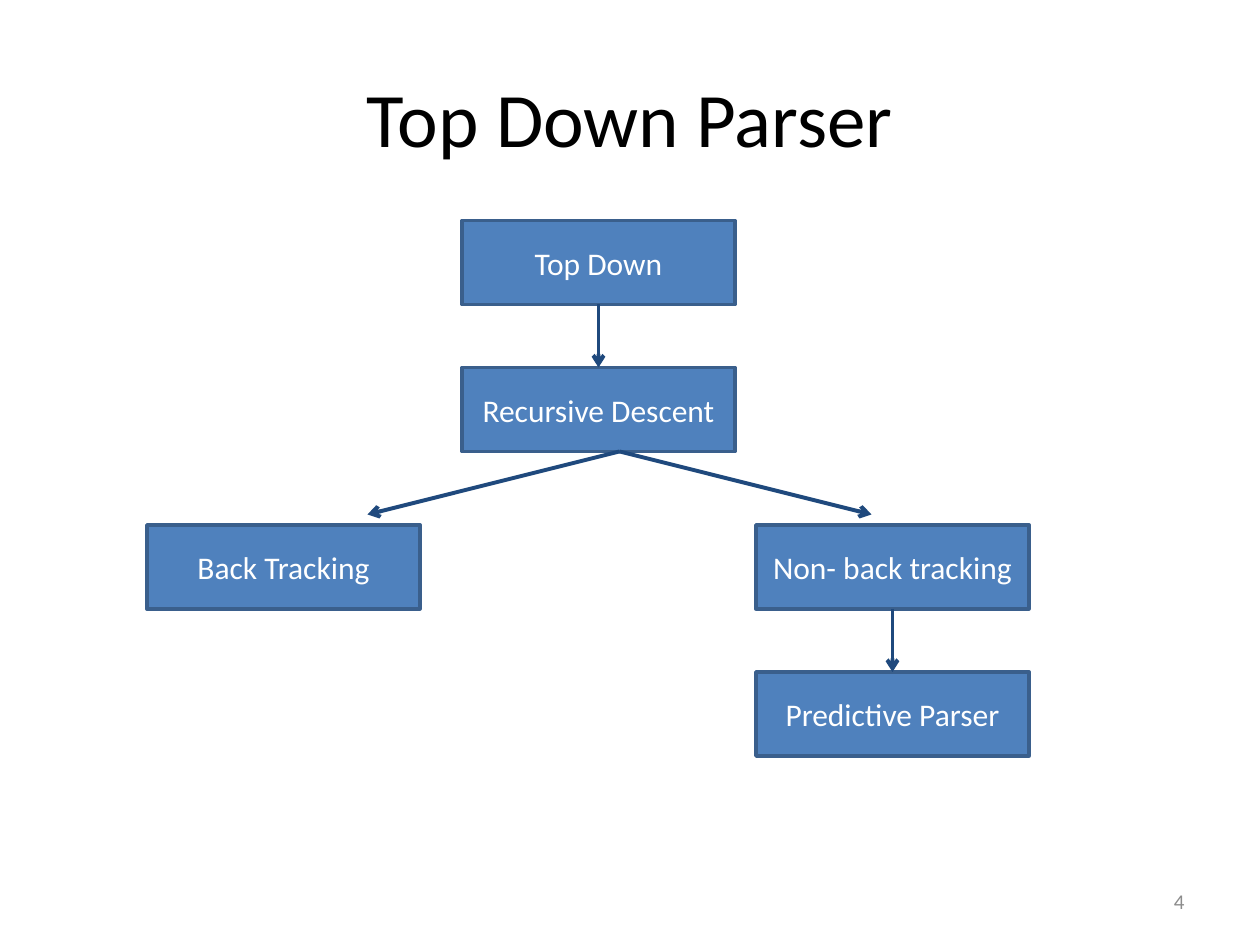
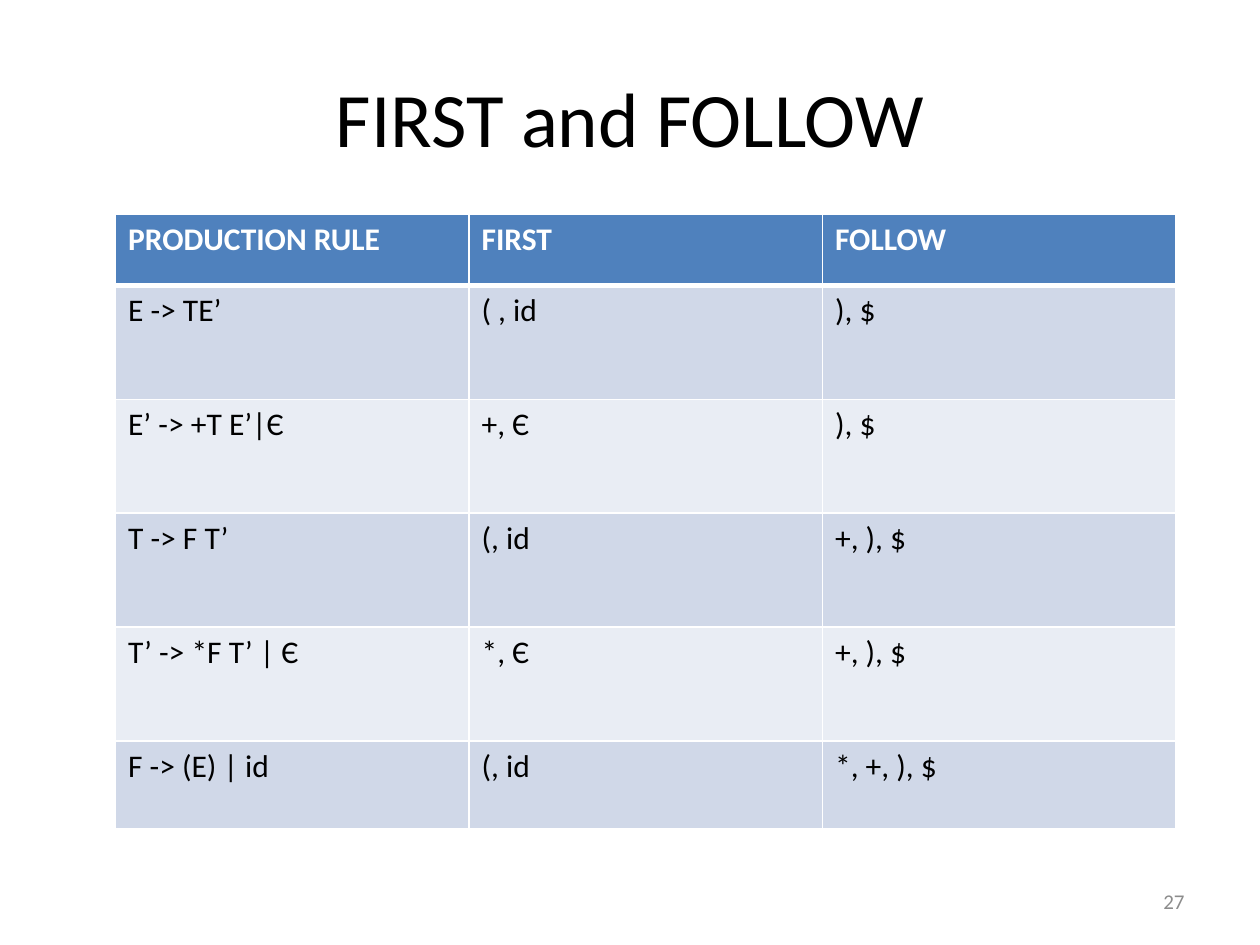
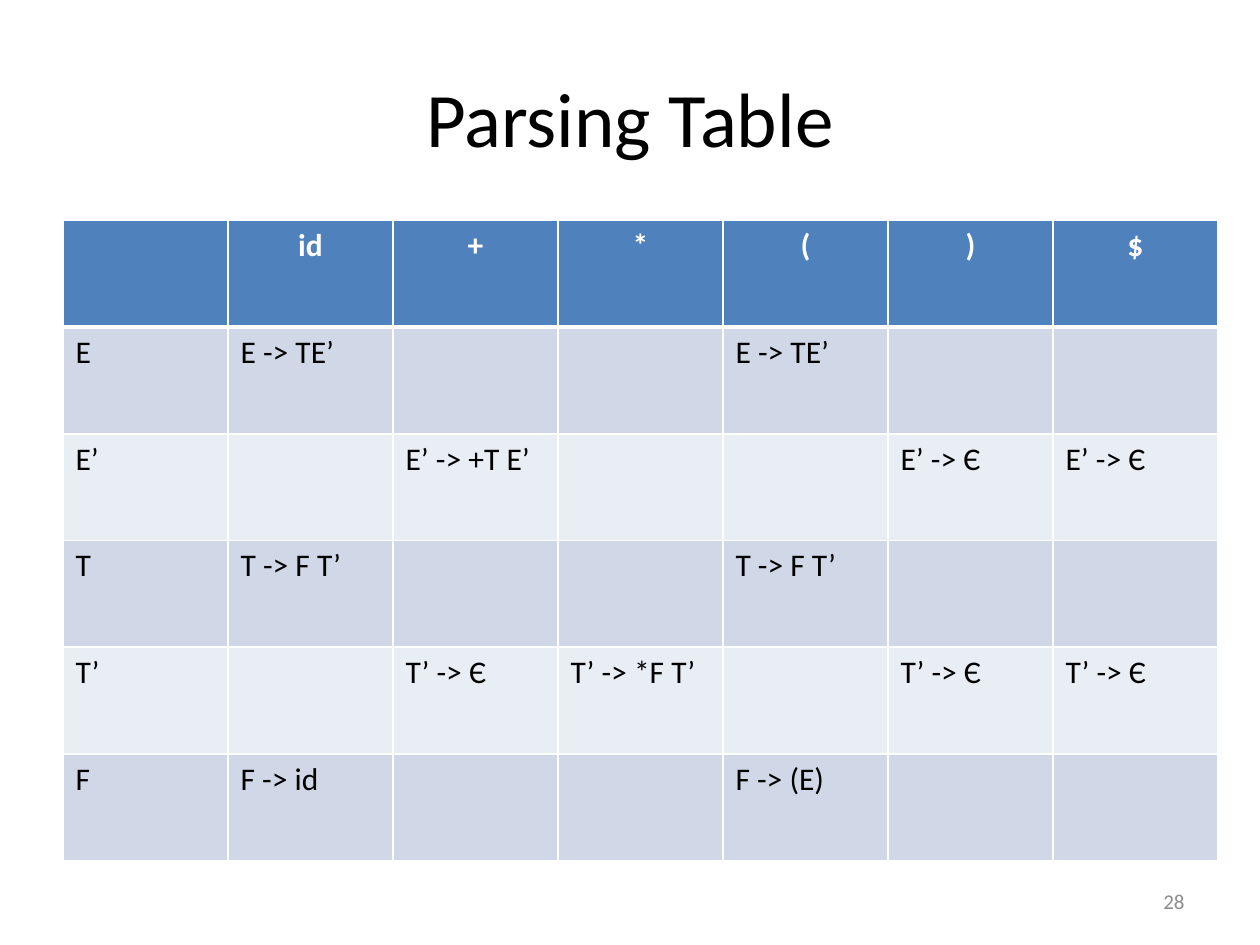
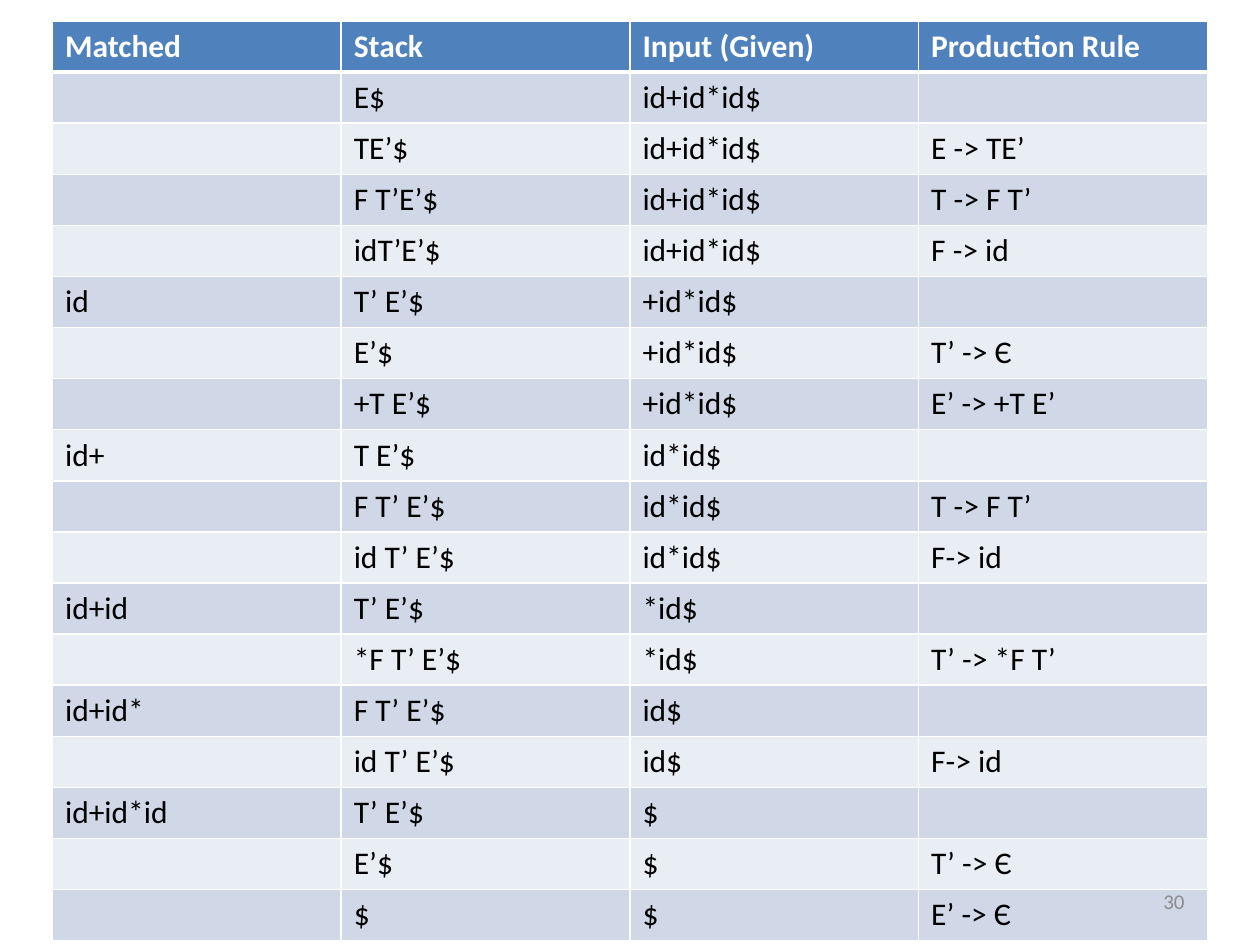
from lxml.etree import SubElement
from pptx import Presentation
from pptx.dml.color import RGBColor
from pptx.enum.shapes import MSO_CONNECTOR, MSO_SHAPE
from pptx.enum.text import MSO_ANCHOR, PP_ALIGN
from pptx.oxml.ns import qn
from pptx.util import Inches, Pt

COLORS = {
    "text": "000000", "node": "4F81BD", "node_edge": "3A5F8C", "arrow": "1F497D",
    "white": "FFFFFF", "odd_row": "D0D8E8", "even_row": "E9EDF4", "number": "8C8C8C",
}
FONT = "Calibri"
GRID_COLUMNS, GRID_ROWS = 60, 45
CELL = Inches(10) // GRID_COLUMNS
NODE_WIDTH, NODE_HEIGHT = 13, 4
TITLE_ONLY, BLANK = 5, 6

NODES = [
    ("Top Down", 22, 10.5),
    ("Recursive Descent", 22, 17.5),
    ("Back Tracking", 7, 25),
    ("Non- back tracking", 36, 25),
    ("Predictive Parser", 36, 32),
]
ARROWS = [
    ((28.5, 14.5), (28.5, 17.5)),
    ((42.5, 29), (42.5, 32)),
    ((29.5, 21.5), (17.5, 24.5)),
    ((29.5, 21.5), (41.5, 24.5)),
]
FIRST_FOLLOW = [
    ("PRODUCTION RULE", "FIRST", "FOLLOW"),
    ("E -> TE’", "( , id", "), $"),
    ("E’ -> +T E’|Є", "+, Є", "), $"),
    ("T -> F T’", "(, id", "+, ), $"),
    ("T’ -> *F T’ | Є", "*, Є", "+, ), $"),
    ("F -> (E) | id", "(, id", "*, +, ), $"),
]
PARSING_TABLE = [
    ("", "id", "+", "*", "(", ")", "$"),
    ("E", "E -> TE’", "", "", "E -> TE’", "", ""),
    ("E’", "", "E’ -> +T E’", "", "", "E’ -> Є", "E’ -> Є"),
    ("T", "T -> F T’", "", "", "T -> F T’", "", ""),
    ("T’", "", "T’ -> Є", "T’ -> *F T’", "", "T’ -> Є", "T’ -> Є"),
    ("F", "F -> id", "", "", "F -> (E)", "", ""),
]
PARSE_STEPS = [
    ("Matched", "Stack", "Input (Given)", "Production Rule"),
    ("", "E$", "id+id*id$", ""),
    ("", "TE’$", "id+id*id$", "E -> TE’"),
    ("", "F T’E’$", "id+id*id$", "T -> F T’"),
    ("", "idT’E’$", "id+id*id$", "F -> id"),
    ("id", "T’ E’$", "+id*id$", ""),
    ("", "E’$", "+id*id$", "T’ -> Є"),
    ("", "+T E’$", "+id*id$", "E’ -> +T E’"),
    ("id+", "T E’$", "id*id$", ""),
    ("", "F T’ E’$", "id*id$", "T -> F T’"),
    ("", "id T’ E’$", "id*id$", "F-> id"),
    ("id+id", "T’ E’$", "*id$", ""),
    ("", "*F T’ E’$", "*id$", "T’ -> *F T’"),
    ("id+id*", "F T’ E’$", "id$", ""),
    ("", "id T’ E’$", "id$", "F-> id"),
    ("id+id*id", "T’ E’$", "$", ""),
    ("", "E’$", "$", "T’ -> Є"),
    ("", "$", "$", "E’ -> Є"),
]


def color(key):
    """Return the named colour of the deck."""
    return RGBColor.from_string(COLORS[key])


def grid(*units):
    """Turn grid columns or rows into lengths."""
    return [round(unit * CELL) for unit in units]


def write(frame, text, size, color_key, align=PP_ALIGN.LEFT, bold=False, anchor=MSO_ANCHOR.MIDDLE):
    """Put one formatted paragraph into a text frame."""
    frame.word_wrap = True
    frame.vertical_anchor = anchor
    frame.text = text
    paragraph = frame.paragraphs[0]
    paragraph.alignment = align
    font = paragraph.font
    font.name, font.size, font.bold = FONT, Pt(size), bold
    font.color.rgb = color(color_key)


def add_slide(deck, number, heading=None):
    """Add a numbered slide, with a title if a heading is given."""
    slide = deck.slides.add_slide(deck.slide_layouts[TITLE_ONLY if heading else BLANK])
    if heading:
        title = slide.shapes.title
        title.left, title.top, title.width, title.height = grid(3, 1.8, 54, 7.5)
        write(title.text_frame, heading, 44, "text", PP_ALIGN.CENTER)
    page = slide.shapes.add_textbox(*grid(43, 41.7, 14, 2.4))
    write(page.text_frame, str(number), 12, "number", PP_ALIGN.RIGHT)
    return slide, page


def add_node(slide, label, left, top):
    """Draw one labelled box of the parser tree."""
    node = slide.shapes.add_shape(MSO_SHAPE.RECTANGLE, *grid(left, top, NODE_WIDTH, NODE_HEIGHT))
    node.shadow.inherit = False
    node.fill.solid()
    node.fill.fore_color.rgb = color("node")
    node.line.color.rgb = color("node_edge")
    node.line.width = Pt(2)
    write(node.text_frame, label, 18, "white", PP_ALIGN.CENTER)


def add_arrow(slide, start, end):
    """Draw an arrow between two grid points."""
    arrow = slide.shapes.add_connector(MSO_CONNECTOR.STRAIGHT, *grid(*start, *end))
    arrow.line.color.rgb = color("arrow")
    arrow.line.width = Pt(2.25)
    SubElement(arrow.line._get_or_add_ln(), qn("a:tailEnd"), type="arrow")
    SubElement(arrow._element.spPr, qn("a:effectLst"))


def add_borders(cell, **widths):
    """Give a cell white borders, with the widths in points by side."""
    properties = cell._tc.get_or_add_tcPr()
    for side in "LRTB":
        border = SubElement(properties, qn(f"a:ln{side}"), w=str(Pt(widths.get(side, 1))))
        fill = SubElement(border, qn("a:solidFill"))
        SubElement(fill, qn("a:srgbClr"), val=COLORS["white"])


def add_grid_table(slide, rows, left, top, width, heights, header_align=PP_ALIGN.LEFT):
    """Add a banded table with equal columns and a bold header row."""
    frame = slide.shapes.add_table(len(rows), len(rows[0]), *grid(left, top, width, sum(heights)))
    table = frame.table
    for row, height in zip(table.rows, heights):
        row.height, = grid(height)
    for r, texts in enumerate(rows):
        header = r == 0
        band = "node" if header else "odd_row" if r % 2 else "even_row"
        for c, text in enumerate(texts):
            cell = table.cell(r, c)
            add_borders(cell, T=3 if r == 1 else 1, B=3 if header else 1)
            cell.fill.solid()
            cell.fill.fore_color.rgb = color(band)
            write(cell.text_frame, text, 18, "white" if header else "text",
                  header_align if header else PP_ALIGN.LEFT, header, MSO_ANCHOR.TOP)
    return frame


def main():
    """Build the four slides and save them."""
    deck = Presentation()
    deck.slide_width, deck.slide_height = grid(GRID_COLUMNS, GRID_ROWS)

    tree, _ = add_slide(deck, 4, "Top Down Parser")
    for node in NODES:
        add_node(tree, *node)
    for arrow in ARROWS:
        add_arrow(tree, *arrow)

    sets, _ = add_slide(deck, 27, "FIRST and FOLLOW")
    add_grid_table(sets, FIRST_FOLLOW, 5.5, 10.2, 50.5, [3.4] + [5.42] * 4 + [4.2])

    parsing, _ = add_slide(deck, 28, "Parsing Table")
    add_grid_table(parsing, PARSING_TABLE, 3, 10.5, 55, [5.08] * 6, PP_ALIGN.CENTER)

    steps, page = add_slide(deck, 30)
    trace = add_grid_table(steps, PARSE_STEPS, 2.5, 1, 55, [2.4] * len(PARSE_STEPS))
    trace._element.addnext(page._element)

    deck.save("out.pptx")


if __name__ == "__main__":
    main()
